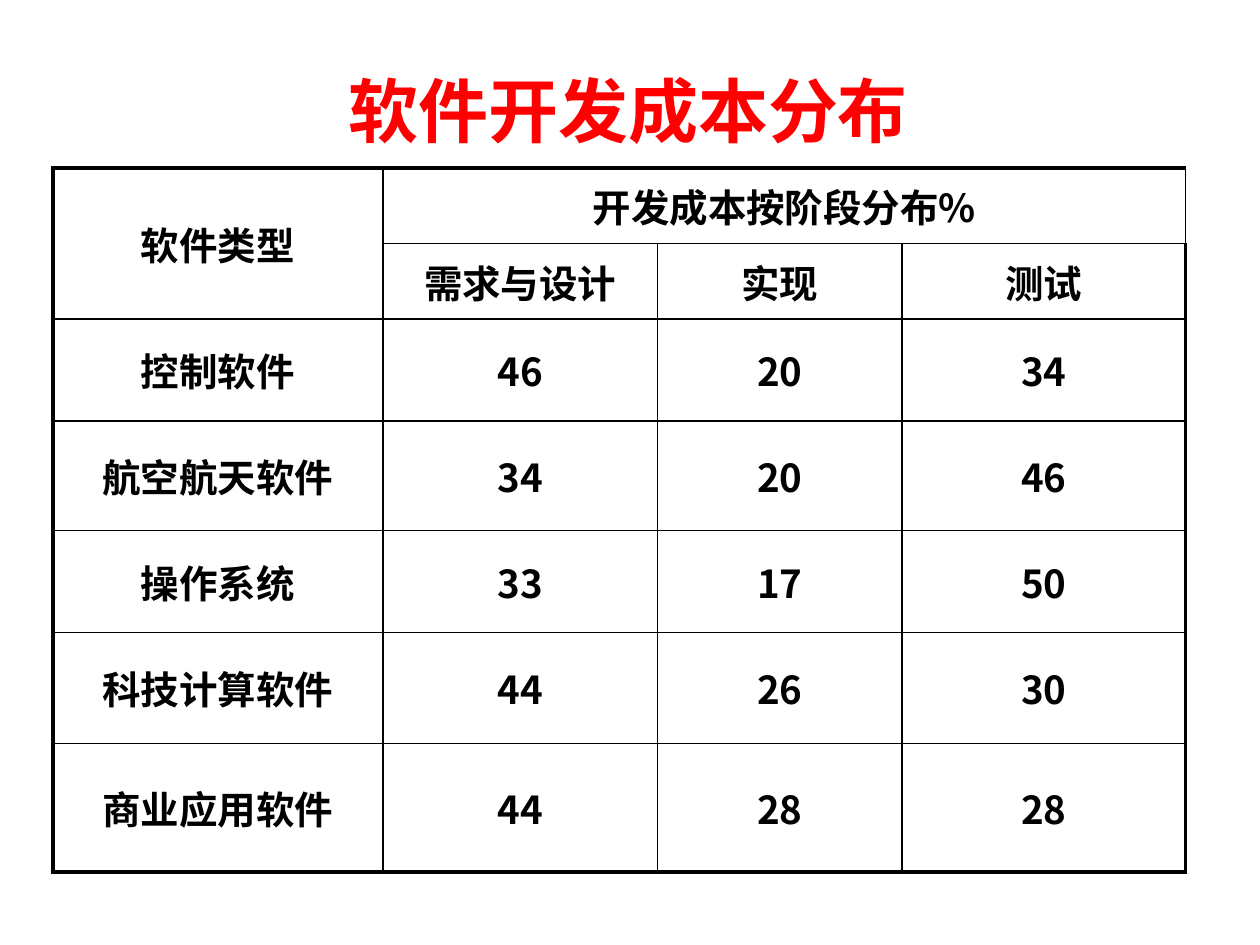
from pptx import Presentation
from pptx import util as u
from pptx.dml.color import RGBColor
from pptx.enum import text
from pptx.oxml import parse_xml
from pptx.oxml.ns import nsdecls

RED = RGBColor(0xFF, 0, 0)
BLACK = RGBColor(0, 0, 0)
WHITE = RGBColor(0xFF, 0xFF, 0xFF)

COLUMNS = [188.6, 157, 139.7, 162]
HEIGHTS = [43.2, 43.2, 58.3, 62.6, 58.3, 63.4, 73.4]
ROWS = [
    ["软件类型", "开发成本按阶段分布%", "", ""],
    ["", "需求与设计", "实现", "测试"],
    ["控制软件", "46", "20", "34"],
    ["航空航天软件", "34", "20", "46"],
    ["操作系统", "33", "17", "50"],
    ["科技计算软件", "44", "26", "30"],
    ["商业应用软件", "44", "28", "28"],
]
MERGES = [((0, 0), (1, 0)), ((0, 1), (0, 3))]


class Deck:
    font = "Noto Sans CJK SC"
    title_size = 40
    cell_size = 22
    inner = 1
    outer = 2.25

    def __init__(self, width, height):
        self.prs = Presentation()
        self.prs.slide_width = u.Pt(width)
        self.prs.slide_height = u.Pt(height)
        self.s = self.prs.slides.add_slide(self.prs.slide_layouts[5])

    def set_text(self, tf, content, size, color):
        tf.text = content
        tf.word_wrap = True
        p = tf.paragraphs[0]
        p.alignment = text.PP_ALIGN.CENTER
        for r in p.runs:
            r.font.name = self.font
            r.font.size = u.Pt(size)
            r.font.bold = True
            r.font.color.rgb = color
            ea = parse_xml(f'<a:ea {nsdecls("a")} typeface="{self.font}"/>')
            r.font._element.find(".//{*}latin").addnext(ea)
        return p

    def title(self, content, left, top, width, height):
        sp = self.s.shapes.title
        sp.left, sp.top = u.Pt(left), u.Pt(top)
        sp.width, sp.height = u.Pt(width), u.Pt(height)
        sp.text_frame.auto_size = text.MSO_AUTO_SIZE.NONE
        sp.text_frame.vertical_anchor = text.MSO_ANCHOR.BOTTOM
        self.set_text(sp.text_frame, content, self.title_size, RED)

    def border(self, cell, widths):
        """Draw the left, right, top and bottom lines, in that order."""
        tc_pr = cell._tc.get_or_add_tcPr()
        for i, (side, width) in enumerate(zip("LRTB", widths)):
            tc_pr.insert(i, parse_xml(
                f'<a:ln{side} {nsdecls("a")} w="{u.Pt(width)}"><a:solidFill>'
                f'<a:srgbClr val="{BLACK}"/></a:solidFill></a:ln{side}>'))

    def table(self, rows, left, top, columns, heights, merges):
        frame = self.s.shapes.add_table(
            len(heights), len(columns), u.Pt(left), u.Pt(top),
            u.Pt(sum(columns)), u.Pt(sum(heights)))
        table = frame.table
        for column, width in zip(table.columns, columns):
            column.width = u.Pt(width)
        for row, height in zip(table.rows, heights):
            row.height = u.Pt(height)
        last_row, last_col = len(heights) - 1, len(columns) - 1
        for i, row in enumerate(rows):
            for j, content in enumerate(row):
                cell = table.cell(i, j)
                cell.fill.solid()
                cell.fill.fore_color.rgb = WHITE
                cell.vertical_anchor = text.MSO_ANCHOR.MIDDLE
                cell.margin_top = cell.margin_bottom = u.Pt(2)
                edges = (j == 0, j == last_col, i == 0, i == last_row)
                self.border(cell, [self.outer if e else self.inner for e in edges])
                if content:
                    p = self.set_text(cell.text_frame, content, self.cell_size, BLACK)
                    p.space_before = u.Pt(self.cell_size * 0.2)
        for start, end in merges:
            table.cell(*start).merge(table.cell(*end))


def main():
    deck = Deck(720, 540)
    deck.title("软件开发成本分布", 44, 36, 630, 54)
    deck.table(ROWS, 30.2, 96, COLUMNS, HEIGHTS, MERGES)
    deck.prs.save("out.pptx")


if __name__ == "__main__":
    main()
